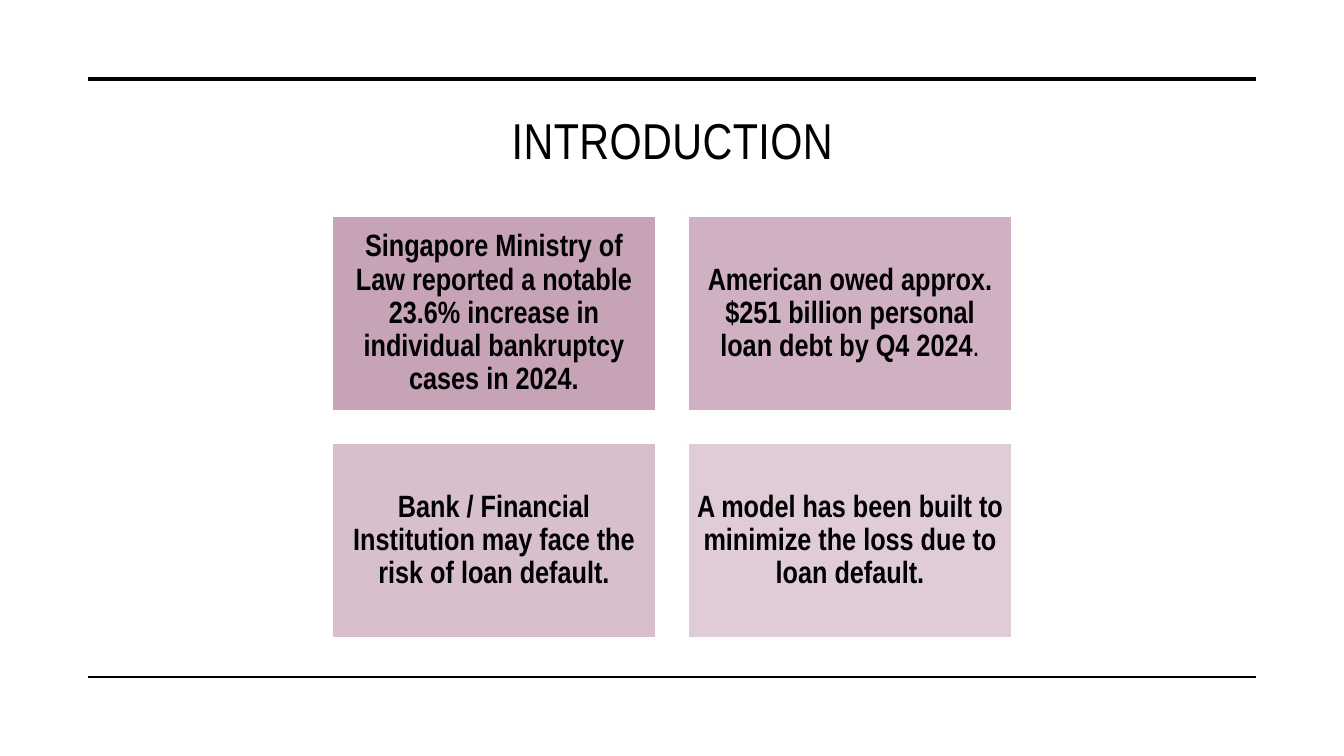
from lxml import etree
from pptx import Presentation
from pptx.dml.color import RGBColor
from pptx.enum.shapes import MSO_CONNECTOR, MSO_SHAPE
from pptx.enum.text import MSO_ANCHOR, MSO_AUTO_SIZE, PP_ALIGN
from pptx.oxml.ns import qn
from pptx.util import Inches, Pt

RECT = MSO_SHAPE.RECTANGLE
STRAIGHT = MSO_CONNECTOR.STRAIGHT
TOP, MIDDLE = MSO_ANCHOR.TOP, MSO_ANCHOR.MIDDLE
CENTER = PP_ALIGN.CENTER
NO_FIT = MSO_AUTO_SIZE.NONE
TITLE_ONLY = 5
SCALE = Inches(1) / 100.8
FONT = "Arial Narrow"
COLORS = {"ink": "000000", "card": "C29AB1", "edge": "FFFFFF"}


def px(n):
    return round(n * SCALE)


def rgb(name):
    return RGBColor.from_string(COLORS[name])


class Deck:
    def __init__(self, width, height):
        self.prs = Presentation()
        self.prs.slide_width, self.prs.slide_height = px(width), px(height)
        self.s = self.prs.slides.add_slide(self.prs.slide_layouts[TITLE_ONLY])

    def run(self, p, text, size, bold):
        r = p.add_run()
        r.text = text
        r.font.name, r.font.size, r.font.bold = FONT, Pt(size), bold
        r.font.color.rgb = rgb("ink")
        return r

    def rule(self, x1, x2, y, weight):
        line = self.s.shapes.add_connector(STRAIGHT, px(x1), px(y), px(x2), px(y))
        line.line.color.rgb = rgb("ink")
        line.line.width = Pt(weight)
        etree.SubElement(line._element.spPr, qn("a:effectLst"))

    def title(self, text, x, y, w, h):
        sp = self.s.shapes.title
        sp.left, sp.top, sp.width, sp.height = map(px, (x, y, w, h))
        tf = sp.text_frame
        tf.auto_size, tf.vertical_anchor = NO_FIT, TOP
        p = tf.paragraphs[0]
        p.alignment = CENTER
        r = self.run(p, text, 36, False)
        r.font._element.set("spc", "30")

    def card(self, runs, x, y, w, h, opacity):
        sp = self.s.shapes.add_shape(RECT, px(x), px(y), px(w), px(h))
        sp.shadow.inherit = False
        sp.fill.solid()
        sp.fill.fore_color.rgb = rgb("card")
        color = sp._element.spPr.find(qn("a:solidFill"))[0]
        etree.SubElement(color, qn("a:alpha")).set("val", str(opacity * 1000))
        sp.line.color.rgb = rgb("edge")
        sp.line.width = Pt(1)
        tf = sp.text_frame
        tf.word_wrap, tf.vertical_anchor = True, MIDDLE
        tf.margin_left = tf.margin_right = tf.margin_top = tf.margin_bottom = px(9)
        p = tf.paragraphs[0]
        p.alignment, p.line_spacing = CENTER, 0.9
        for text, bold in runs:
            self.run(p, text, 22, bold)


CARDS = [
    (90, [("Singapore Ministry of Law reported a notable 23.6% increase in "
           "individual bankruptcy cases in 2024.", True)]),
    (77, [("American owed approx. $251 billion personal loan debt by Q4 2024", True),
          (".", False)]),
    (63, [("Bank / Financial Institution may face the risk of loan default.", True)]),
    (50, [("A model has been built to minimize the loss due to loan default.", True)]),
]


def main():
    deck = Deck(1344, 756)
    deck.rule(88, 1256, 79, 3.5)
    deck.rule(88, 1256, 677, 1)
    deck.title("INTRODUCTION", 457, 104, 431, 438)
    for i, (opacity, runs) in enumerate(CARDS):
        row, col = divmod(i, 2)
        deck.card(runs, 332 + col * 356, 216 + row * 227, 324, 195, opacity)
    deck.prs.save("out.pptx")


if __name__ == "__main__":
    main()
